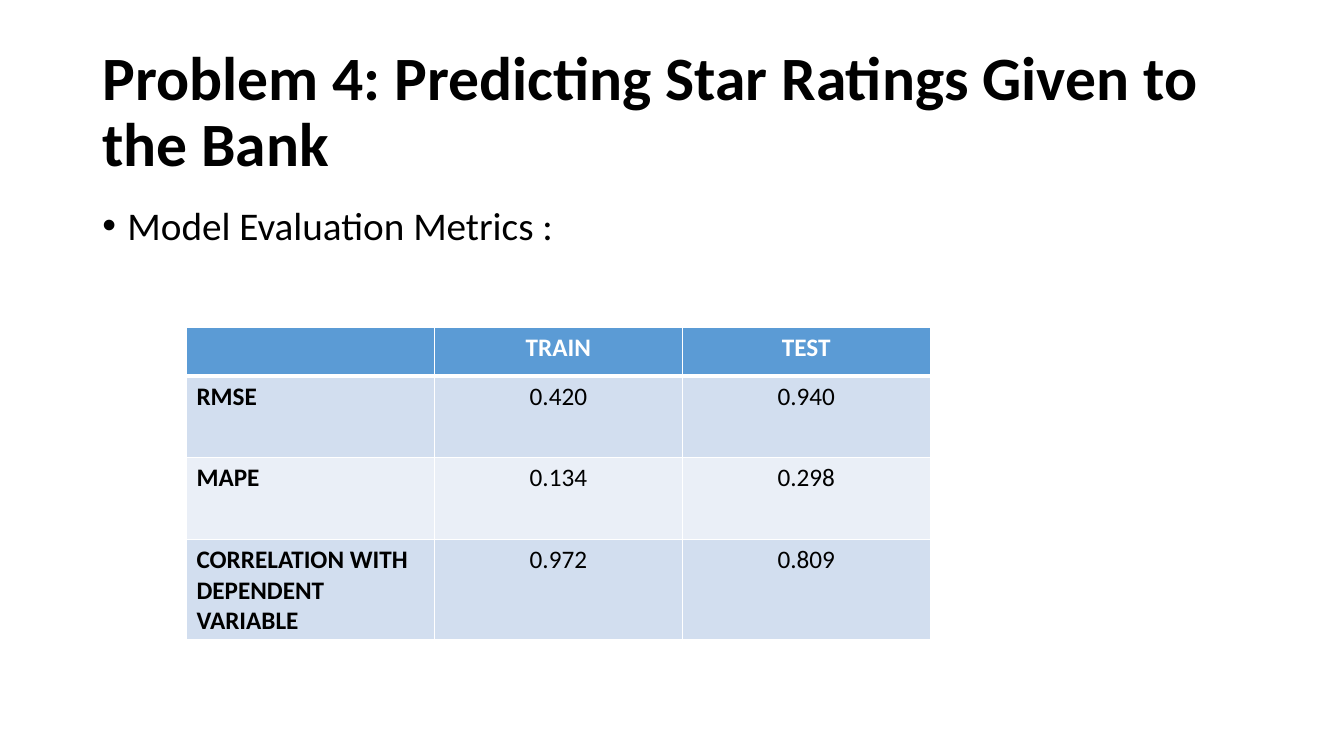
"""Build the model evaluation metrics slide."""
from dataclasses import dataclass

from lxml import etree
from pptx import Presentation
from pptx.dml.color import RGBColor
from pptx.enum.text import MSO_ANCHOR, PP_ALIGN
from pptx.oxml.ns import qn
from pptx.slide import Slide
from pptx.util import Pt

LEFT, CENTER = PP_ALIGN.LEFT, PP_ALIGN.CENTER
TOP, MIDDLE = MSO_ANCHOR.TOP, MSO_ANCHOR.MIDDLE
BLACK = RGBColor(0x00, 0x00, 0x00)
WHITE = RGBColor(0xFF, 0xFF, 0xFF)
BLUE = RGBColor(0x5B, 0x9B, 0xD5)
BAND_DARK = RGBColor(0xD2, 0xDE, 0xEF)
BAND_LIGHT = RGBColor(0xEA, 0xEF, 0xF7)
FONT = "Calibri"


@dataclass(frozen=True)
class TextBlock:
    text: str
    top: float
    height: float
    size: float
    bold: bool = False
    anchor: MSO_ANCHOR = TOP
    space_before: float = 0
    bullet: str = ""


@dataclass(frozen=True)
class MetricRow:
    label: str
    train: str
    test: str
    height: float
    fill: RGBColor


BLOCKS = [
    TextBlock("Problem 4: Predicting Star Ratings Given to the Bank",
              28.8, 104.4, 44, bold=True, anchor=MIDDLE),
    TextBlock("Model Evaluation Metrics :", 144, 342.7, 28,
              space_before=10, bullet="•"),
]
ROWS = [
    MetricRow("", "TRAIN", "TEST", 34.6, BLUE),
    MetricRow("RMSE", "0.420", "0.940", 58.3, BAND_DARK),
    MetricRow("MAPE", "0.134", "0.298", 58.3, BAND_LIGHT),
    MetricRow("CORRELATION WITH DEPENDENT VARIABLE", "0.972", "0.809",
              58.3, BAND_DARK),
]


def add_run(p, text: str, size: float, color: RGBColor, bold: bool) -> None:
    r = p.add_run()
    r.text = text
    r.font.name = FONT
    r.font.size = Pt(size)
    r.font.bold = bold
    r.font.color.rgb = color


def add_block(s: Slide, block: TextBlock) -> None:
    sp = s.shapes.add_textbox(Pt(66), Pt(block.top), Pt(828), Pt(block.height))
    tf = sp.text_frame
    tf.word_wrap = True
    tf.vertical_anchor = block.anchor
    p = tf.paragraphs[0]
    p.line_spacing = 0.9
    p.space_before = Pt(block.space_before)
    if block.bullet:
        pPr = p._p.get_or_add_pPr()
        pPr.set("marL", str(Pt(18)))
        pPr.set("indent", str(-Pt(18)))
        etree.SubElement(pPr, qn("a:buFont"), typeface="Arial")
        etree.SubElement(pPr, qn("a:buChar"), char=block.bullet)
    add_run(p, block.text, block.size, BLACK, block.bold)


def add_borders(cell, top: float, bottom: float) -> None:
    tcPr = cell._tc.get_or_add_tcPr()
    for side, width in (("L", 1), ("R", 1), ("T", top), ("B", bottom)):
        ln = etree.SubElement(tcPr, qn(f"a:ln{side}"), w=str(Pt(width)))
        fill = etree.SubElement(ln, qn("a:solidFill"))
        etree.SubElement(fill, qn("a:srgbClr"), val=str(WHITE))


def add_metrics(s: Slide, rows: list[MetricRow]) -> None:
    height = sum(row.height for row in rows)
    table = s.shapes.add_table(len(rows), 3, Pt(133.2), Pt(234),
                               Pt(531.3), Pt(height)).table
    for i, row in enumerate(rows):
        table.rows[i].height = Pt(row.height)
        for j, text in enumerate((row.label, row.train, row.test)):
            cell = table.cell(i, j)
            add_borders(cell, 3 if i == 1 else 1, 3 if i == 0 else 1)
            cell.fill.solid()
            cell.fill.fore_color.rgb = row.fill
            p = cell.text_frame.paragraphs[0]
            p.alignment = CENTER if j else LEFT
            if text:
                add_run(p, text, 18, BLACK if i else WHITE, i == 0 or j == 0)


def main() -> None:
    prs = Presentation()
    prs.slide_width, prs.slide_height = Pt(960), Pt(540)
    s = prs.slides.add_slide(prs.slide_layouts[6])
    for block in BLOCKS:
        add_block(s, block)
    add_metrics(s, ROWS)
    prs.save("out.pptx")


if __name__ == "__main__":
    main()
